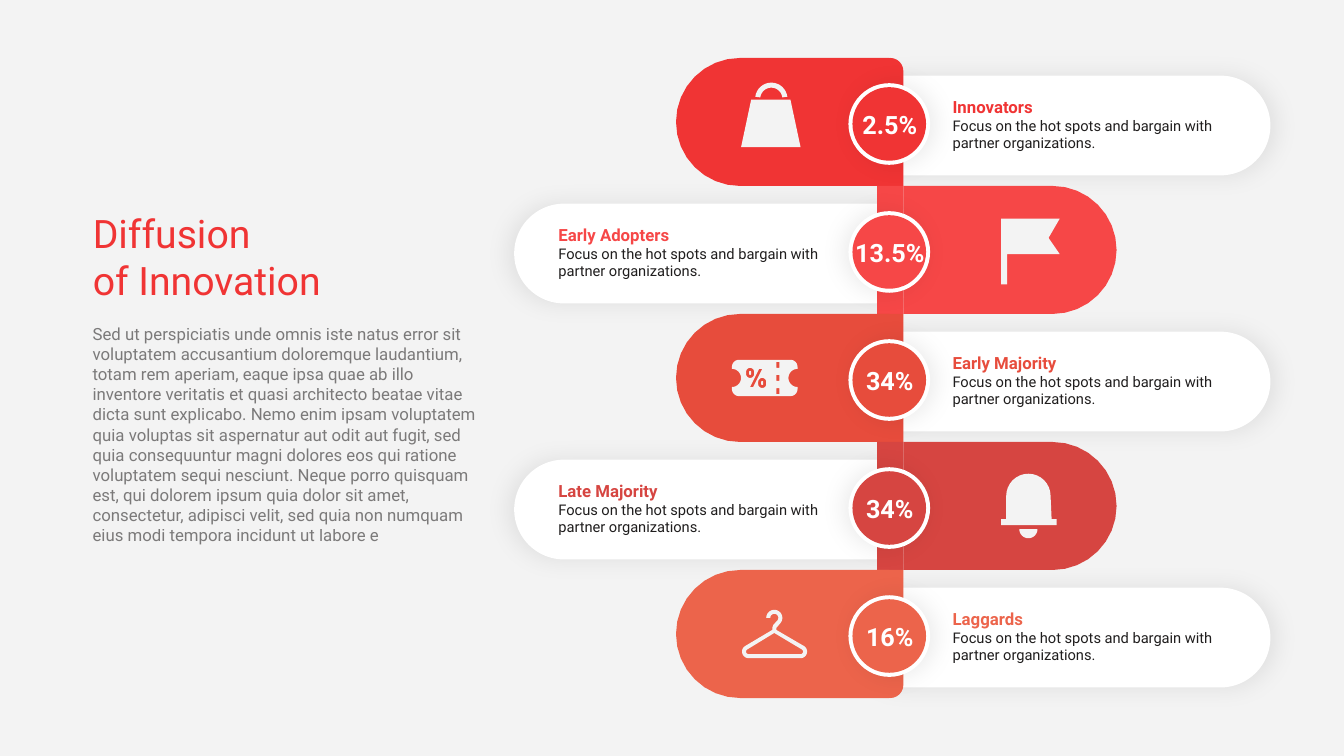
import math
from dataclasses import dataclass

import pptx
import pptx.dml.color
import pptx.enum.shapes
import pptx.enum.text
import pptx.oxml
import pptx.oxml.ns
import pptx.shapes.base
import pptx.slide
import pptx.text.text
import pptx.util

SHAPE = pptx.enum.shapes.MSO_SHAPE
ALIGN = pptx.enum.text.PP_ALIGN
ANCHOR = pptx.enum.text.MSO_ANCHOR
Point = tuple[float, float]
Contour = list[Point]


@dataclass(frozen=True)
class Theme:
    font: str = "Roboto"
    background: str = "F3F3F3"
    white: str = "FFFFFF"
    ink: str = "201E1E"
    accent: str = "F03434"
    title_size: float = 28
    share_size: float = 18
    body_size: float = 12
    detail_size: float = 10.5


@dataclass(frozen=True)
class Stage:
    name: str
    share: str
    color: str
    icon: list[Contour]


THEME = Theme()
PITCH = 1.27        # height of one stage
BAND_MIDDLE = 1.21  # first stage, vertical centres
BADGE_MIDDLE = 1.23
CARD_MIDDLE = 1.24
SPINE_LEFT, SPINE_WIDTH = 8.7, 0.26
BADGE_CENTER = 8.82
DETAIL = "Focus on the hot spots and bargain with partner organizations."
BODY = (
    "Sed ut perspiciatis unde omnis iste natus error sit voluptatem accusantium "
    "doloremque laudantium, totam rem aperiam, eaque ipsa quae ab illo inventore "
    "veritatis et quasi architecto beatae vitae dicta sunt explicabo. Nemo enim ipsam "
    "voluptatem quia voluptas sit aspernatur aut odit aut fugit, sed quia consequuntur "
    "magni dolores eos qui ratione voluptatem sequi nesciunt. Neque porro quisquam est, "
    "qui dolorem ipsum quia dolor sit amet, consectetur, adipisci velit, sed quia non "
    "numquam eius modi tempora incidunt ut labore e"
)


# Outlines, in inches; angles run clockwise from the right
def arc(x: float, y: float, radius: float, start: float, end: float) -> Contour:
    steps = 16
    angles = [math.radians(start + (end - start) * n / steps) for n in range(steps + 1)]
    return [(x + radius * math.cos(a), y + radius * math.sin(a)) for a in angles]


def capsule(x: float, y: float, radius: float, half_height: float) -> Contour:
    reach = half_height - radius
    return arc(x, y - reach, radius, 180, 360) + arc(x, y + reach, radius, 0, 180)


def box(left: float, top: float, right: float, bottom: float) -> Contour:
    return [(left, top), (right, top), (right, bottom), (left, bottom)]


def hanger_ends(radius: float) -> Contour:
    return arc(7.94, 6.465, radius, -60, 90) + arc(7.425, 6.465, radius, 90, 240)


BAG = [
    arc(7.65, 0.98, 0.16, 187, 353) + arc(7.65, 0.98, 0.11, 353, 187),
    [(7.45, 0.99), (7.84, 0.99), (7.94, 1.46), (7.35, 1.46)],
]
FLAG = [[(9.93, 2.17), (10.51, 2.17), (10.4, 2.36), (10.51, 2.52),
         (9.99, 2.52), (9.99, 2.82), (9.93, 2.82)]]
TICKET = [
    arc(7.33, 3.64, 0.07, 180, 270) + arc(7.84, 3.64, 0.07, 270, 360)
    + arc(7.91, 3.75, 0.09, 270, 90) + arc(7.84, 3.86, 0.07, 0, 90)
    + arc(7.33, 3.86, 0.07, 90, 180) + arc(7.26, 3.75, 0.09, 90, -90),
    [(7.53, 3.66), (7.56, 3.66), (7.47, 3.84), (7.44, 3.84)],
    *[capsule(x, y, radius, half) for x, y in ((7.44, 3.7), (7.56, 3.8))
      for radius, half in ((0.04, 0.05), (0.01, 0.02))],
    *[box(7.7, 3.59 + 0.13 * n, 7.73, 3.65 + 0.13 * n) for n in range(3)],
]
BELL = [
    arc(10.2, 4.92, 0.22, 180, 360)
    + [(10.43, 5.15), (10.48, 5.15), (10.48, 5.21), (9.93, 5.21), (9.93, 5.15), (9.98, 5.15)],
    arc(10.2, 5.25, 0.09, 0, 180),
]
HANGER = [
    arc(7.68, 6.13, 0.08, 180, 400) + [(7.7, 6.23), (7.7, 6.25)] + hanger_ends(0.065)
    + [(7.66, 6.25), (7.66, 6.23), (7.67, 6.2)] + arc(7.68, 6.13, 0.04, 400, 180),
    [(7.68, 6.28)] + hanger_ends(0.025),
]
STAGES = [
    Stage("Innovators", "2.5%", "F03434", BAG),
    Stage("Early Adopters", "13.5%", "F64747", FLAG),
    Stage("Early Majority", "34%", "E74C3C", TICKET),
    Stage("Late Majority", "34%", "D64541", BELL),
    Stage("Laggards", "16%", "EC644B", HANGER),
]


# Drawing
def rgb(color: str) -> pptx.dml.color.RGBColor:
    return pptx.dml.color.RGBColor.from_string(color)


def place(shape: pptx.shapes.base.BaseShape, *bounds: float) -> None:
    shape.left, shape.top, shape.width, shape.height = map(pptx.util.Inches, bounds)


def paint(shape: pptx.shapes.base.BaseShape, color: str) -> None:
    shape.shadow.inherit = False
    shape.fill.solid()
    shape.fill.fore_color.rgb = rgb(color)
    shape.line.fill.background()


def add_preset(slide: pptx.slide.Slide, kind: SHAPE, bounds: Contour, color: str,
               adjustments: tuple[float, ...] = ()) -> pptx.shapes.base.BaseShape:
    shape = slide.shapes.add_shape(kind, *map(pptx.util.Inches, bounds))
    for n, value in enumerate(adjustments):
        shape.adjustments[n] = value
    paint(shape, color)
    return shape


def add_outline(slide: pptx.slide.Slide, contours: list[Contour], color: str) -> None:
    builder = None
    for contour in contours:
        start, *rest = [(pptx.util.Inches(x), pptx.util.Inches(y)) for x, y in contour]
        if builder is None:
            builder = slide.shapes.build_freeform(*start)
        else:
            builder.move_to(*start)
        builder.add_line_segments(rest, close=True)
    paint(builder.convert_to_shape(), color)


def cast_shadow(shape: pptx.shapes.base.BaseShape, degrees: int) -> None:
    effects = shape._element.spPr.find(pptx.oxml.ns.qn("a:effectLst"))
    effects.append(pptx.oxml.parse_xml(
        f'<a:outerShdw {pptx.oxml.ns.nsdecls("a")} blurRad="{pptx.util.Pt(17)}" '
        f'dist="{pptx.util.Pt(4)}" dir="{degrees * 60000}" algn="ctr" rotWithShape="0">'
        '<a:srgbClr val="000000"><a:alpha val="8000"/></a:srgbClr></a:outerShdw>'))


def write(frame: pptx.text.text.TextFrame, text: str, *, size: float, color: str,
          bold: bool = False, align: ALIGN = ALIGN.LEFT, anchor: ANCHOR = ANCHOR.TOP,
          opacity: int = 100, append: bool = False) -> None:
    frame.word_wrap = True
    frame.auto_size = pptx.enum.text.MSO_AUTO_SIZE.NONE
    frame.vertical_anchor = anchor
    paragraph = frame.add_paragraph() if append else frame.paragraphs[0]
    paragraph.text = text
    paragraph.alignment = align
    for run in paragraph.runs:
        run.font.name, run.font.size, run.font.bold = THEME.font, pptx.util.Pt(size), bold
        run.font.color.rgb = rgb(color)
        if opacity < 100:
            ink = run._r.find(".//" + pptx.oxml.ns.qn("a:srgbClr"))
            ink.append(pptx.oxml.parse_xml(
                f'<a:alpha {pptx.oxml.ns.nsdecls("a")} val="{opacity * 1000}"/>'))


def add_text_frame(slide: pptx.slide.Slide, *bounds: float) -> pptx.text.text.TextFrame:
    return slide.shapes.add_textbox(*map(pptx.util.Inches, bounds)).text_frame


# Parts of the slide
def add_heading(slide: pptx.slide.Slide) -> None:
    heading = slide.shapes.title
    place(heading, 0.82, 2.02, 4.01, 1.04)
    write(heading.text_frame, "Diffusion\vof Innovation", size=THEME.title_size,
          color=THEME.accent, anchor=ANCHOR.BOTTOM)
    write(add_text_frame(slide, 0.82, 3.16, 4.01, 2.32), BODY, size=THEME.body_size,
          color=THEME.ink, opacity=56)


def add_card(slide: pptx.slide.Slide, row: int) -> None:
    left, width = (5.1, 4.13) if row % 2 else (8.42, 4.18)
    bounds = (left, CARD_MIDDLE + row * PITCH - 0.49, width, 0.99)
    card = add_preset(slide, SHAPE.ROUNDED_RECTANGLE, bounds, THEME.white, (0.5,))
    cast_shadow(card, 180 * (row % 2))


def add_band(slide: pptx.slide.Slide, row: int, stage: Stage) -> None:
    middle, half = BAND_MIDDLE + row * PITCH, PITCH / 2
    top, bottom = middle - half, middle + half
    if row % 2:
        band = arc(10.44, middle, half, -90, 90) + [(8.96, bottom), (8.96, top)]
    else:
        band = arc(7.34, middle, half, 90, 270) + [(8.82, top), (8.82, bottom)]
    add_outline(slide, [band], stage.color)
    rounding = (0.5 * (row == 0), 0.5 * (row == len(STAGES) - 1))
    add_preset(slide, SHAPE.ROUND_2_SAME_RECTANGLE, (SPINE_LEFT, top, SPINE_WIDTH, PITCH),
               stage.color, rounding)


def add_badge(slide: pptx.slide.Slide, row: int, stage: Stage) -> None:
    middle = BADGE_MIDDLE + row * PITCH
    for diameter, color in ((0.81, THEME.white), (0.73, stage.color)):
        bounds = (BADGE_CENTER - diameter / 2, middle - diameter / 2, diameter, diameter)
        disc = add_preset(slide, SHAPE.OVAL, bounds, color)
        if color == THEME.white:
            cast_shadow(disc, 180 * (row % 2))
    write(add_text_frame(slide, 8.33, middle - 0.2, 0.99, 0.4), stage.share, bold=True,
          size=THEME.share_size, color=THEME.white, align=ALIGN.CENTER, anchor=ANCHOR.MIDDLE)


def add_label(slide: pptx.slide.Slide, row: int, stage: Stage) -> None:
    top = BADGE_MIDDLE + row * PITCH - 0.33
    label = add_text_frame(slide, 5.44 if row % 2 else 9.35, top, 2.93, 0.66)
    write(label, stage.name, size=THEME.body_size, color=stage.color, bold=True,
          anchor=ANCHOR.MIDDLE)
    write(label, DETAIL, size=THEME.detail_size, color=THEME.ink, anchor=ANCHOR.MIDDLE,
          append=True)


def main() -> None:
    deck = pptx.Presentation()
    deck.slide_width, deck.slide_height = pptx.util.Inches(13.33), pptx.util.Inches(7.5)
    slide = deck.slides.add_slide(deck.slide_layouts[5])
    slide.background.fill.solid()
    slide.background.fill.fore_color.rgb = rgb(THEME.background)
    add_heading(slide)
    for row in range(len(STAGES)):
        add_card(slide, row)
    for row, stage in enumerate(STAGES):
        add_band(slide, row, stage)
    for row, stage in enumerate(STAGES):
        add_badge(slide, row, stage)
        add_label(slide, row, stage)
        add_outline(slide, stage.icon, THEME.background)
    deck.save("out.pptx")


if __name__ == "__main__":
    main()
